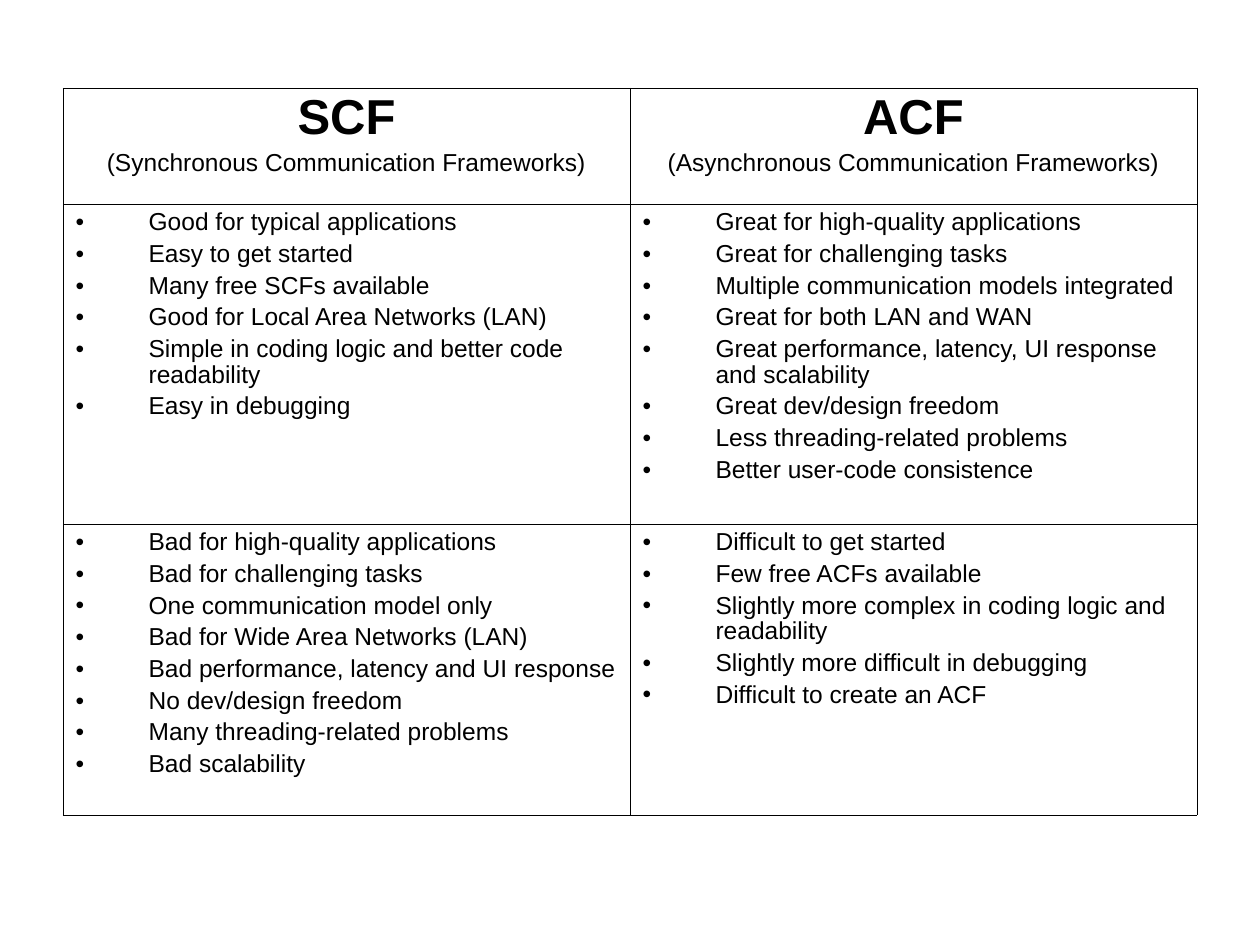
from lxml import etree
from pptx import Presentation
from pptx import util as u
from pptx.dml import color
from pptx.enum import text
from pptx.oxml import ns

PX = u.Inches(1) // 126
BLACK = "000000"
FONT = "Arial"
INDENT = 73
OUTER_LINE, INNER_LINE = 0.23, 0.11  # points
COLUMN_WIDTHS = [567, 567]
ROW_HEIGHTS = [116, 320, 291]

HEADERS = [
    ("SCF", "(Synchronous Communication Frameworks)"),
    ("ACF", "(Asynchronous Communication Frameworks)"),
]
ADVANTAGES = [
    ["Good for typical applications", "Easy to get started",
     "Many free SCFs available", "Good for Local Area Networks (LAN)",
     "Simple in coding logic and better code readability",
     "Easy in debugging"],
    ["Great for high-quality applications", "Great for challenging tasks",
     "Multiple communication models integrated",
     "Great for both LAN and WAN",
     "Great performance, latency, UI response and scalability",
     "Great dev/design freedom", "Less threading-related problems",
     "Better user-code consistence"],
]
DRAWBACKS = [
    ["Bad for high-quality applications", "Bad for challenging tasks",
     "One communication model only", "Bad for Wide Area Networks (LAN)",
     "Bad performance, latency and UI response", "No dev/design freedom",
     "Many threading-related problems", "Bad scalability"],
    ["Difficult to get started", "Few free ACFs available",
     "Slightly more complex in coding logic and readability",
     "Slightly more difficult in debugging", "Difficult to create an ACF"],
]


def px(length):
    return u.Emu(length * PX)


def rgb(value):
    return color.RGBColor.from_string(value)


def add_element(parent, tag, **attributes):
    return etree.SubElement(parent, ns.qn(tag), attributes)


def add_bullet(paragraph):
    properties = paragraph._p.get_or_add_pPr()
    properties.set("marL", str(px(INDENT)))
    properties.set("indent", str(-px(INDENT)))
    bullet_color = add_element(properties, "a:buClr")
    add_element(bullet_color, "a:srgbClr", val=BLACK)
    add_element(properties, "a:buFont", typeface=FONT)
    add_element(properties, "a:buChar", char="•")


def format_paragraph(paragraph, size=14, bold=False):
    paragraph.line_spacing = 0.93
    for run in paragraph.runs:
        run.font.name = FONT
        run.font.size = u.Pt(size)
        run.font.bold = bold
        run.font.color.rgb = rgb(BLACK)


def fill_header(cell, lines):
    cell.text_frame.text = "\n".join(lines)
    name, meaning = cell.text_frame.paragraphs
    for paragraph in (name, meaning):
        paragraph.alignment = text.PP_ALIGN.CENTER
    format_paragraph(name, size=28, bold=True)
    format_paragraph(meaning)
    meaning.space_before = u.Pt(3.5)


def fill_list(cell, items):
    cell.text_frame.text = "\n".join(items)
    for index, paragraph in enumerate(cell.text_frame.paragraphs):
        add_bullet(paragraph)
        format_paragraph(paragraph)
        paragraph.space_before = u.Pt(3.5 if index else 0)


def style_cell(cell, outer_sides):
    """Draw the four borders, heavier on the outer sides, and clear the fill."""
    properties = cell._tc.get_or_add_tcPr()
    for side in "LRTB":
        width = OUTER_LINE if side in outer_sides else INNER_LINE
        line = add_element(properties, f"a:ln{side}", w=str(u.Pt(width)))
        line_fill = add_element(line, "a:solidFill")
        add_element(line_fill, "a:srgbClr", val=BLACK)
    cell.fill.background()


def add_comparison_table(slide, left, top):
    table = slide.shapes.add_table(
        len(ROW_HEIGHTS), len(COLUMN_WIDTHS), px(left), px(top),
        px(sum(COLUMN_WIDTHS)), px(sum(ROW_HEIGHTS))).table
    table.first_row = table.horz_banding = False
    for column, width in zip(table.columns, COLUMN_WIDTHS):
        column.width = px(width)
    for row, height in zip(table.rows, ROW_HEIGHTS):
        row.height = px(height)

    contents = [(fill_header, HEADERS), (fill_list, ADVANTAGES),
                (fill_list, DRAWBACKS)]
    row_sides = ["T", "", "B"]
    column_sides = ["L", "R"]
    for row_index, (fill_cell, row_contents) in enumerate(contents):
        for column_index, content in enumerate(row_contents):
            cell = table.cell(row_index, column_index)
            fill_cell(cell, content)
            style_cell(cell, row_sides[row_index] + column_sides[column_index])


def main():
    presentation = Presentation()
    presentation.slide_width = px(1260)
    presentation.slide_height = px(945)
    slide = presentation.slides.add_slide(presentation.slide_layouts[6])
    add_comparison_table(slide, left=63, top=88)
    presentation.save("out.pptx")


if __name__ == "__main__":
    main()
